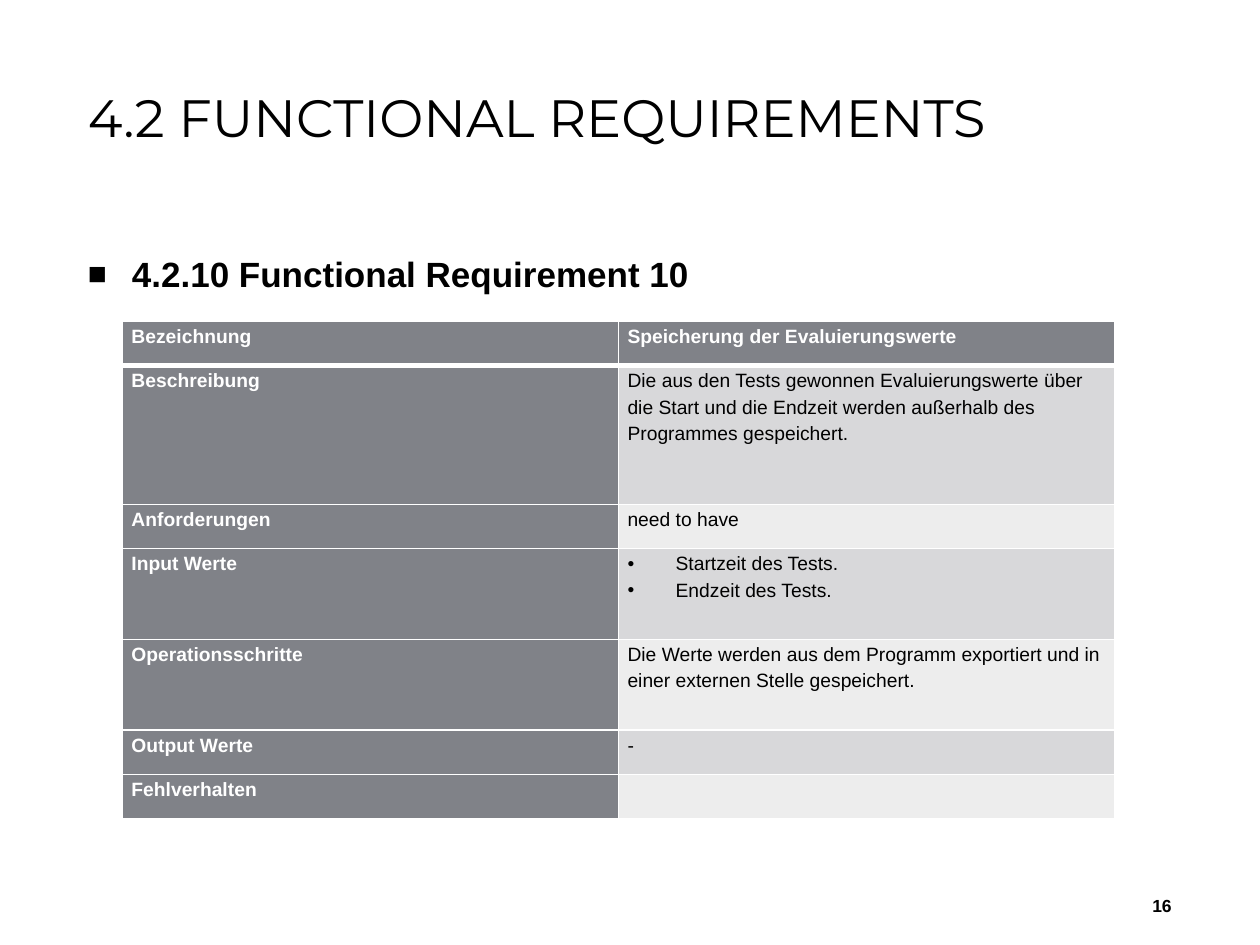
from lxml.etree import SubElement
from pptx import Presentation
from pptx.dml.color import RGBColor
from pptx.enum.text import MSO_ANCHOR, PP_ALIGN
from pptx.oxml.ns import qn
from pptx.util import Cm, Pt

BLACK = RGBColor(0x00, 0x00, 0x00)
WHITE = RGBColor(0xFF, 0xFF, 0xFF)
HEADER_GREY = RGBColor(0x80, 0x82, 0x88)
BAND_DARK = RGBColor(0xD8, 0xD8, 0xDA)
BAND_LIGHT = RGBColor(0xED, 0xED, 0xED)

TITLE = "4.2 FUNCTIONAL REQUIREMENTS"
HEADING = "4.2.10 Functional Requirement 10"
PAGE_NUMBER = "16"
REQUIREMENT = [
    ("Bezeichnung", ["Speicherung der Evaluierungswerte"], 0.89),
    ("Beschreibung", ["Die aus den Tests gewonnen Evaluierungswerte über die Start und "
                      "die Endzeit werden außerhalb des Programmes gespeichert."], 2.8),
    ("Anforderungen", ["need to have"], 0.89),
    ("Input Werte", ["Startzeit des Tests.", "Endzeit des Tests."], 1.83),
    ("Operationsschritte", ["Die Werte werden aus dem Programm exportiert und in einer "
                            "externen Stelle gespeichert."], 1.83),
    ("Output Werte", ["-"], 0.89),
    ("Fehlverhalten", [], 0.89),
]


def style_runs(para, size, color=BLACK, bold=False, name="Arial"):
    """Format every run of a paragraph."""
    for span in para.runs:
        span.font.name = name
        span.font.size = Pt(size)
        span.font.bold = bold
        span.font.color.rgb = color


def add_bullet(para, char, indent, percent=100):
    """Give a paragraph a hanging bullet."""
    properties = para._p.get_or_add_pPr()
    properties.set("marL", str(indent))
    properties.set("indent", str(-indent))
    SubElement(properties, qn("a:buSzPct")).set("val", str(percent * 1000))
    SubElement(properties, qn("a:buFont")).set("typeface", "Arial")
    SubElement(properties, qn("a:buChar")).set("char", char)


def add_text(page, box, text):
    """Add a wrapping text box and return its frame and first paragraph."""
    frame = page.shapes.add_textbox(*box).text_frame
    frame.word_wrap = True
    frame.text = text
    return frame, frame.paragraphs[0]


def add_title(page, box):
    """Place the slide title."""
    _, para = add_text(page, box, TITLE)
    para.line_spacing = 0.83
    style_runs(para, 30, name="Montserrat")


def add_heading(page, box):
    """Place the bulleted heading of the requirement."""
    _, para = add_text(page, box, HEADING)
    para.line_spacing = 1.05
    para.space_before = para.space_after = Pt(6)
    add_bullet(para, "■", Cm(0.89), 90)
    style_runs(para, 20, bold=True)


def add_page_number(page, box):
    """Place the page number at the lower right."""
    frame, para = add_text(page, box, PAGE_NUMBER)
    frame.vertical_anchor = MSO_ANCHOR.MIDDLE
    para.alignment = PP_ALIGN.RIGHT
    style_runs(para, 10, bold=True)


def set_borders(cell, bottom):
    """Draw white borders around a cell."""
    properties = cell._tc.get_or_add_tcPr()
    widths = {"a:lnL": 1, "a:lnR": 1, "a:lnT": 1, "a:lnB": bottom}
    for position, (tag, width) in enumerate(widths.items()):
        line = SubElement(properties, qn(tag), w=str(Pt(width)))
        fill = SubElement(line, qn("a:solidFill"))
        SubElement(fill, qn("a:srgbClr")).set("val", str(WHITE))
        properties.insert(position, line)


def fill_cell(cell, lines, is_header, band, bottom):
    """Write and format one table cell."""
    cell.margin_left = cell.margin_right = Cm(0.18)
    cell.margin_top = cell.margin_bottom = 0
    cell.fill.solid()
    cell.fill.fore_color.rgb = HEADER_GREY if is_header else band
    set_borders(cell, bottom)
    cell.text_frame.text = "\n".join(lines)
    for para in cell.text_frame.paragraphs:
        para.line_spacing = Pt(15)
        style_runs(para, 11, WHITE if is_header else BLACK, is_header)
        if len(lines) > 1:
            add_bullet(para, "•", Cm(0.97))


def add_requirement_table(page, box):
    """Place the requirement table with its header row and column."""
    table = page.shapes.add_table(len(REQUIREMENT), 2, *box).table
    table.first_col = True
    for column in table.columns:
        column.width = box[2] // 2
    for index, (label, lines, height) in enumerate(REQUIREMENT):
        table.rows[index].height = Cm(height)
        band = BAND_DARK if index % 2 else BAND_LIGHT
        bottom = 3 if index == 0 else 1
        fill_cell(table.cell(index, 0), [label], True, band, bottom)
        fill_cell(table.cell(index, 1), lines, index == 0, band, bottom)


def build_deck():
    """Build and save the one-page deck."""
    deck = Presentation()
    deck.slide_width, deck.slide_height = Cm(25.4), Cm(19.05)
    page = deck.slides.add_slide(deck.slide_layouts[6])
    add_title(page, (Cm(1.52), Cm(1.8), Cm(22.05), Cm(2.62)))
    add_page_number(page, (Cm(22.45), Cm(17.75), Cm(1.42), Cm(1.02)))
    add_heading(page, (Cm(1.52), Cm(4.93), Cm(22.02), Cm(11.53)))
    add_requirement_table(page, (Cm(2.47), Cm(6.48), Cm(20), Cm(10.02)))
    deck.save("out.pptx")


build_deck()
